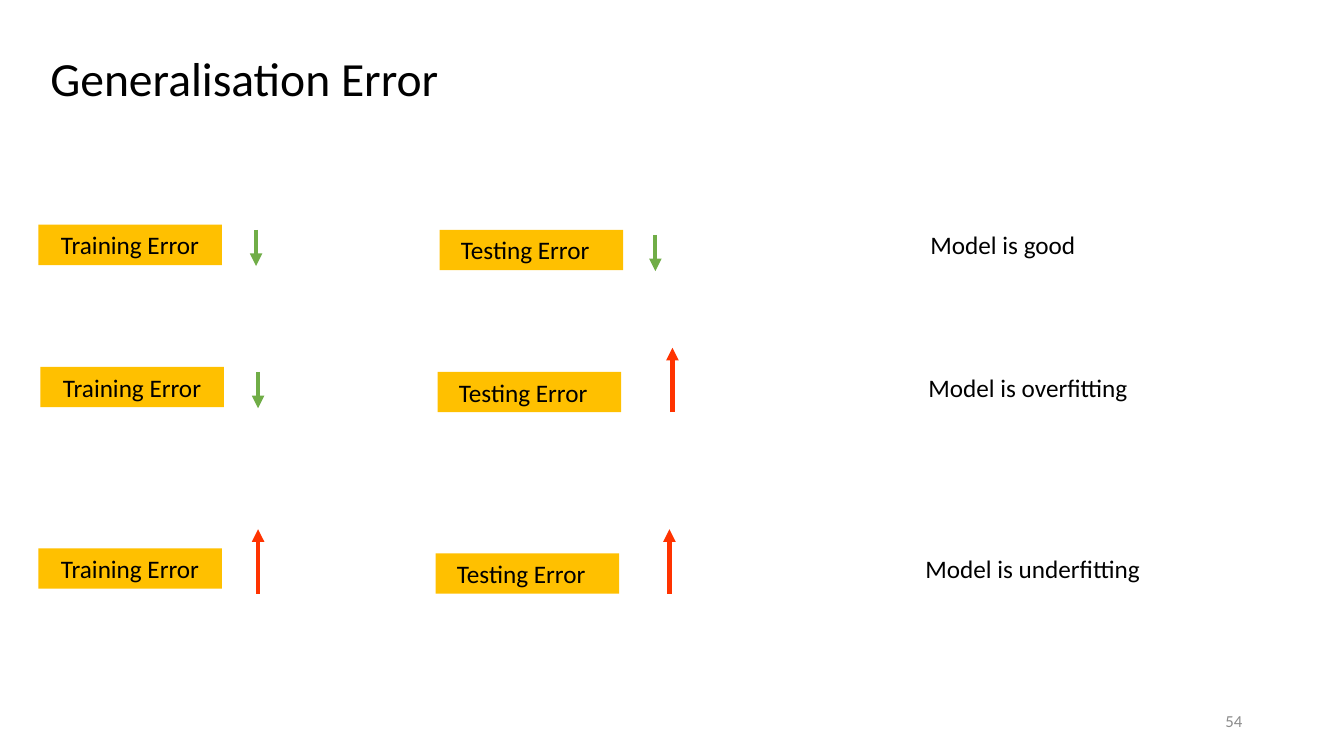
from dataclasses import dataclass

from lxml.etree import SubElement
from pptx import Presentation
from pptx.dml.color import RGBColor
from pptx.enum.shapes import MSO_CONNECTOR, MSO_SHAPE
from pptx.enum.text import MSO_ANCHOR, PP_ALIGN
from pptx.oxml.ns import qn
from pptx.util import Pt

TITLE = "Generalisation Error"
SLIDE_NUMBER = "54"
ROWS = [
    {"top": 223, "verdict": ("Model is good", 913),
     "errors": [("Training Error", 38, 254, "down"), ("Testing Error", 436, 650, "down")]},
    {"top": 364, "verdict": ("Model is overfitting", 911),
     "errors": [("Training Error", 40, 256, "down"), ("Testing Error", 434, 667, "up")]},
    {"top": 544, "verdict": ("Model is underfitting", 908),
     "errors": [("Training Error", 38, 256, "up"), ("Testing Error", 432, 664, "up")]},
]
EMU_PER_PX = 9144
BOX_WIDTH, BOX_HEIGHT = 182, 40
VERDICT_WIDTH = 300
TESTING_DROP = 5
TESTING_EXTRA_INSET = 12
FALL_START, FALL_END = 5, 41
RISE_START, RISE_END = 45, -19


@dataclass(frozen=True)
class Theme:
    font: str = "Calibri"
    text: str = "000000"
    muted: str = "8C8C8C"
    box: str = "FFC000"
    down: str = "70AD47"
    up: str = "FF3300"
    title_size: int = 34
    body_size: int = 18
    number_size: int = 12
    arrow_width: int = 3


THEME = Theme()


def px(length):
    return length * EMU_PER_PX


def write(shape, text, size, color=THEME.text, align=PP_ALIGN.LEFT, anchor=MSO_ANCHOR.TOP):
    frame = shape.text_frame
    frame.word_wrap = True
    frame.vertical_anchor = anchor
    paragraph = frame.paragraphs[0]
    paragraph.alignment = align
    run = paragraph.add_run()
    run.text = text
    run.font.name = THEME.font
    run.font.size = Pt(size)
    run.font.color.rgb = RGBColor.from_string(color)
    return paragraph


def add_text(slide, left, top, width, height, text, size, **style):
    box = slide.shapes.add_textbox(px(left), px(top), px(width), px(height))
    write(box, text, size, **style)


def add_error_box(slide, left, top, text, extra_inset):
    box = slide.shapes.add_shape(
        MSO_SHAPE.RECTANGLE, px(left), px(top), px(BOX_WIDTH), px(BOX_HEIGHT))
    box.shadow.inherit = False
    box.fill.solid()
    box.fill.fore_color.rgb = RGBColor.from_string(THEME.box)
    box.line.fill.background()
    box.text_frame.margin_right += px(extra_inset)
    write(box, text, THEME.body_size, align=PP_ALIGN.CENTER)


def add_arrow(slide, x, start, end, color):
    arrow = slide.shapes.add_connector(
        MSO_CONNECTOR.STRAIGHT, px(x), px(start), px(x), px(end))
    arrow.line.color.rgb = RGBColor.from_string(color)
    arrow.line.width = Pt(THEME.arrow_width)
    SubElement(arrow.line._get_or_add_ln(), qn("a:tailEnd"), type="triangle")
    SubElement(arrow._element.spPr, qn("a:effectLst"))


def add_row(slide, row):
    for column, (label, box_left, arrow_x, trend) in enumerate(row["errors"]):
        box_top = row["top"] + column * TESTING_DROP
        add_error_box(slide, box_left, box_top, label, column * TESTING_EXTRA_INSET)
        if trend == "down":
            add_arrow(slide, arrow_x, box_top + FALL_START, box_top + FALL_END, THEME.down)
        else:
            add_arrow(slide, arrow_x, row["top"] + RISE_START, row["top"] + RISE_END, THEME.up)
    verdict, left = row["verdict"]
    add_text(slide, left, row["top"], VERDICT_WIDTH, BOX_HEIGHT, verdict, THEME.body_size)


def main():
    presentation = Presentation()
    presentation.slide_width, presentation.slide_height = px(1333), px(750)
    slide = presentation.slides.add_slide(presentation.slide_layouts[5])

    title = slide.shapes.title
    title.left, title.top, title.width, title.height = px(40), px(0), px(1226), px(160)
    paragraph = write(title, TITLE, THEME.title_size, anchor=MSO_ANCHOR.MIDDLE)
    paragraph.line_spacing = 0.9

    for row in ROWS:
        add_row(slide, row)
    add_text(slide, 942, 695, 300, 40, SLIDE_NUMBER, THEME.number_size,
             color=THEME.muted, align=PP_ALIGN.RIGHT, anchor=MSO_ANCHOR.MIDDLE)
    presentation.save("out.pptx")


if __name__ == "__main__":
    main()
